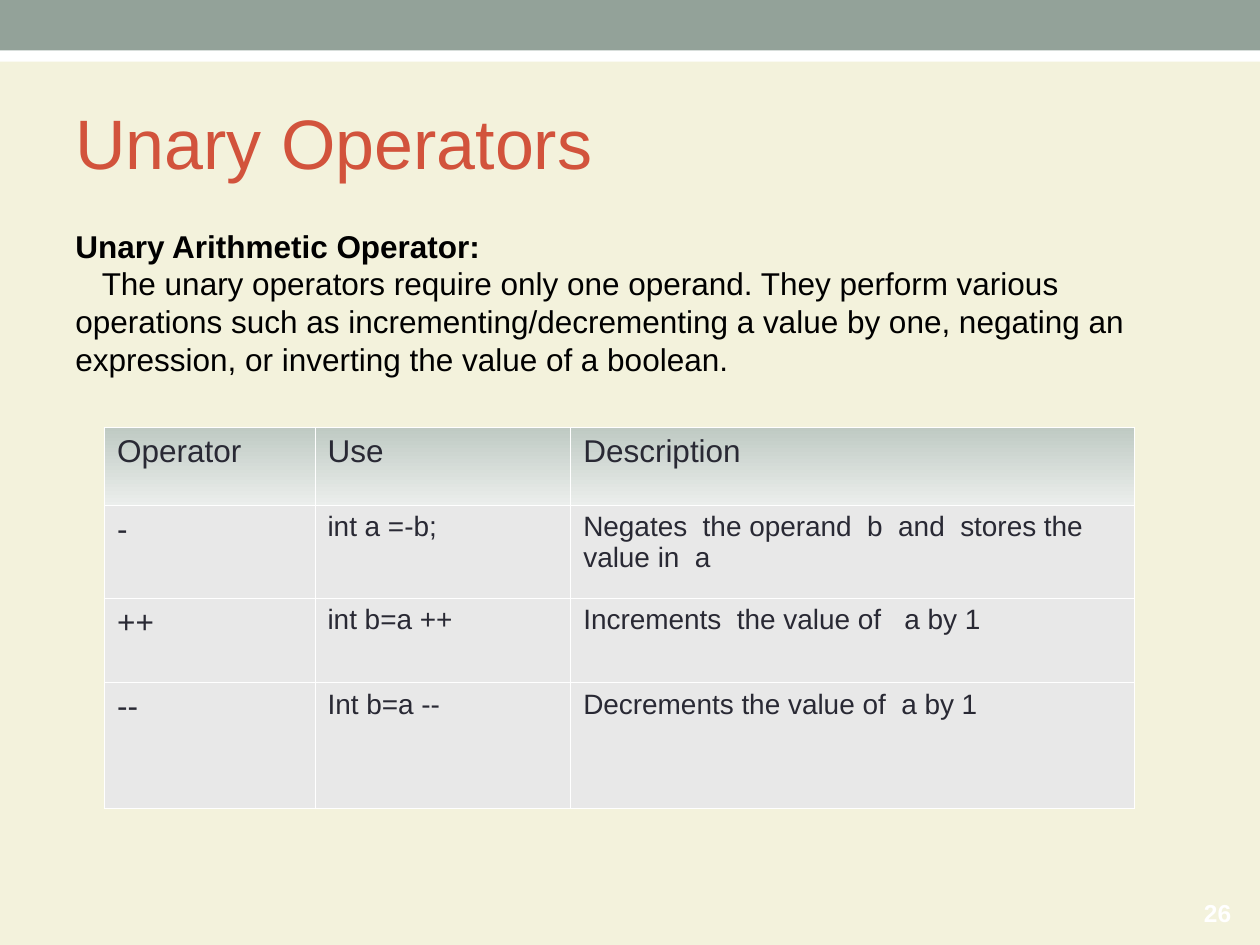
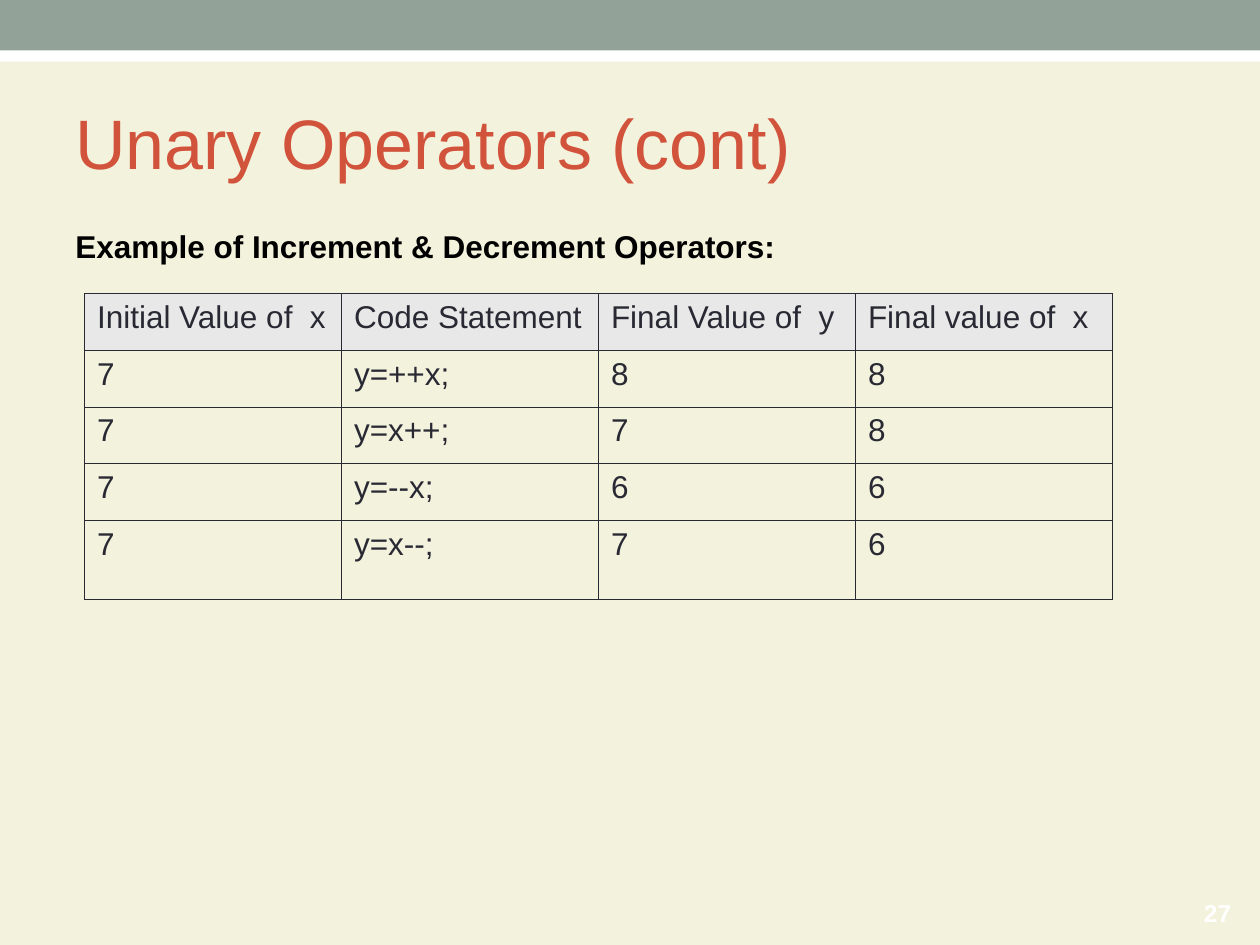
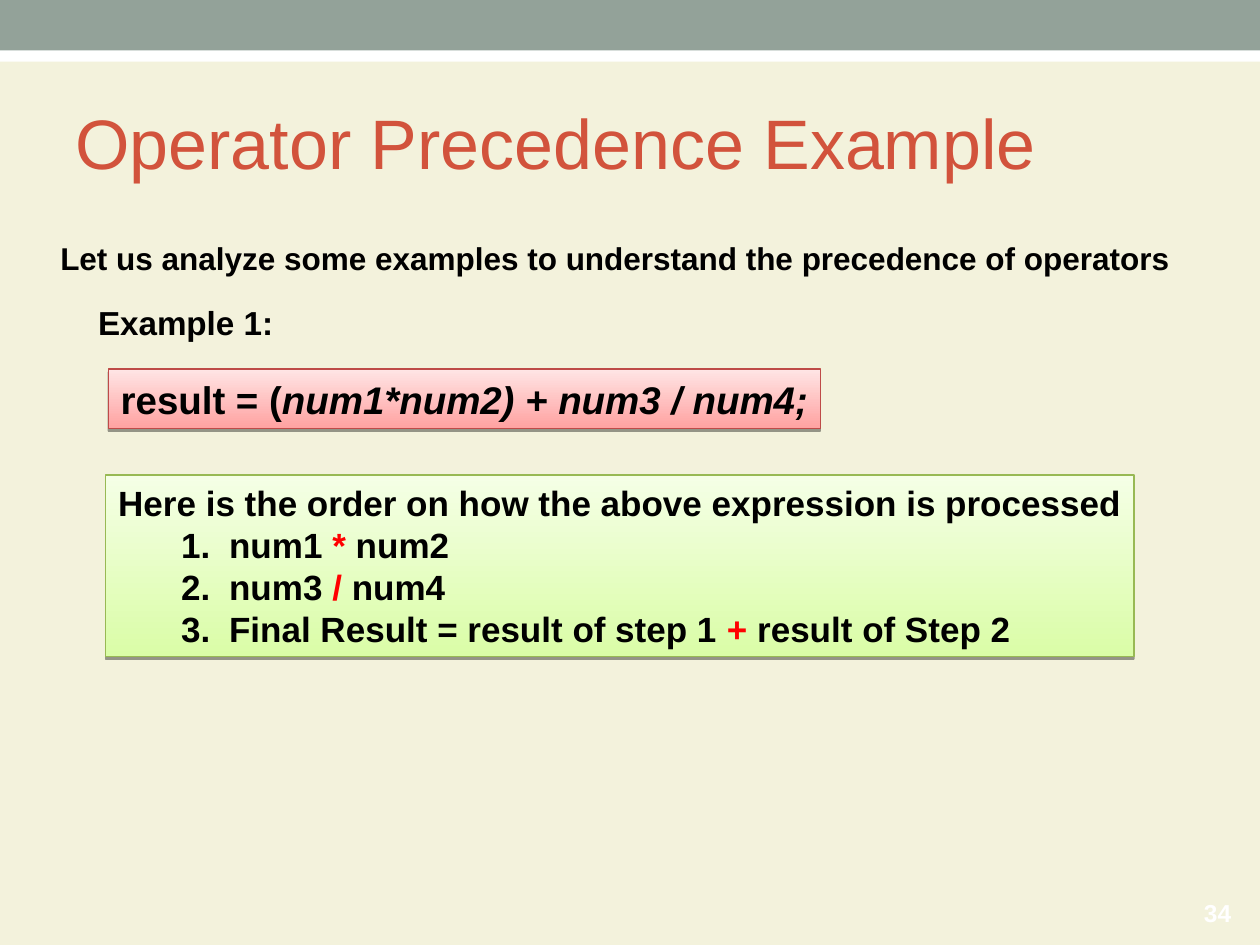
from lxml.etree import SubElement
from pptx import Presentation
from pptx.dml.color import RGBColor
from pptx.enum.shapes import MSO_SHAPE as SHAPE
from pptx.enum.text import MSO_ANCHOR as ANCHOR, PP_ALIGN as ALIGN
from pptx.oxml.ns import qn
from pptx.util import Inches, Pt

FONT = "Arial"
PAPER, BAND, WHITE, ACCENT = "F3F2DC", "93A299", "FFFFFF", "D2533C"
BLACK, RED, INK, GREY = "000000", "FF0000", "292934", "E8E8E8"
HEADER_SHADE = ("BFCAC3", "EBEEEC")


def rgb(value):
    """Turn a hex string into a colour."""
    return RGBColor.from_string(value)


def paint(fill, colour):
    """Fill with nothing, one colour, or a (top, bottom) gradient."""
    if colour is None:
        fill.background()
    elif isinstance(colour, str):
        fill.solid()
        fill.fore_color.rgb = rgb(colour)
    else:
        fill.gradient()
        fill.gradient_angle = 270
        for stop, shade in zip(fill.gradient_stops, colour):
            stop.color.rgb = rgb(shade)


def add_span(para, text, size, color=BLACK, **styles):
    """Append one run of formatted text to a paragraph."""
    span = para.add_run()
    span.text = text
    span.font.color.rgb = rgb(color)
    for name, value in {"name": FONT, "size": Pt(size), **styles}.items():
        setattr(span.font, name, value)


def write(frame, paragraphs, size, wrap=True, align=ALIGN.LEFT, **styles):
    """Write paragraphs, each a list of (text, style changes) spans."""
    frame.word_wrap = wrap
    for index, spans in enumerate(paragraphs):
        para = frame.paragraphs[0] if index == 0 else frame.add_paragraph()
        para.alignment = align
        for text, changes in spans:
            add_span(para, text, size, **{**styles, **changes})


def add_text(page, area, paragraphs, size, anchor=ANCHOR.TOP, **styles):
    """Add a text box and return it."""
    box = page.shapes.add_textbox(*map(Inches, area))
    box.text_frame.vertical_anchor = anchor
    write(box.text_frame, paragraphs, size, **styles)
    return box


def add_rectangle(page, area, colour):
    """Add a plain rectangle without outline or shadow."""
    box = page.shapes.add_shape(SHAPE.RECTANGLE, *map(Inches, area))
    box.shadow.inherit = False
    paint(box.fill, colour)
    box.line.fill.background()
    return box


def add_panel(page, area, shades, outline, paragraphs, size):
    """Add a gradient panel with an outline, a low shadow and bold text."""
    panel = add_rectangle(page, area, shades)
    panel.line.color.rgb = rgb(outline)
    panel.line.width = Pt(0.75)
    effects = panel._element.spPr.find(qn("a:effectLst"))
    shadow = SubElement(effects, qn("a:outerShdw"), blurRad="0", dist=str(Pt(1.6)),
                        dir="5400000", rotWithShape="0")
    colour = SubElement(shadow, qn("a:srgbClr"), val=BLACK)
    SubElement(colour, qn("a:alpha"), val="38000")
    write(panel.text_frame, paragraphs, size, wrap=False, bold=True)
    return panel


def number(para):
    """Make a paragraph an item of a numbered list."""
    para.level = 1
    props = para._p.get_or_add_pPr()
    props.set("marL", str(Inches(0.88)))
    props.set("indent", str(Inches(-0.38)))
    colour = SubElement(props, qn("a:buClr"))
    SubElement(colour, qn("a:srgbClr"), val=BLACK)
    SubElement(props, qn("a:buFont"), typeface=FONT)
    SubElement(props, qn("a:buAutoNum"), type="arabicPeriod")


def add_borders(cell, colour):
    """Draw a thin line on all four sides of a cell."""
    props = cell._tc.get_or_add_tcPr()
    for side in ("lnL", "lnR", "lnT", "lnB"):
        line = SubElement(props, qn(f"a:{side}"), w=str(Pt(0.45)))
        fill = SubElement(line, qn("a:solidFill"))
        SubElement(fill, qn("a:srgbClr"), val=colour)


def add_grid(page, left, top, widths, heights, rows, border, header_fill,
             body_fill, detail_size=18):
    """Add a table; detail_size applies to body cells after the first column."""
    area = (left, top, sum(widths), sum(heights))
    table = page.shapes.add_table(len(rows), len(widths), *map(Inches, area)).table
    table.first_row = table.horz_banding = False
    for column, width in zip(table.columns, widths):
        column.width = Inches(width)
    for r, (height, texts) in enumerate(zip(heights, rows)):
        table.rows[r].height = Inches(height)
        for c, text in enumerate(texts):
            cell = table.cell(r, c)
            add_borders(cell, border)
            paint(cell.fill, body_fill if r else header_fill)
            size = detail_size if r and c else 18
            write(cell.text_frame, [[(text, {})]], size, color=INK)


def add_page(deck, title, page_number):
    """Add a slide with the shared background, bands, title and number."""
    page = deck.slides.add_slide(deck.slide_layouts[6])
    paint(page.background.fill, PAPER)
    add_rectangle(page, (0, 0.24, 10, 0.25), WHITE)
    add_rectangle(page, (0, 0, 10, 0.4), BAND)
    add_text(page, (0.5, 0.58, 9, 1.08), [[(title, {})]], 40, ANCHOR.MIDDLE, color=ACCENT)
    add_text(page, (8.87, 7.07, 1, 0.35), [[(str(page_number), {})]], 14, ANCHOR.MIDDLE,
             align=ALIGN.RIGHT, color=WHITE, bold=True)
    return page


def build_unary(deck):
    """Build the slide that defines the unary operators."""
    page = add_page(deck, "Unary Operators", 26)
    intro = add_text(page, (0.5, 1.75, 9, 2.8), [
        [("Unary Arithmetic Operator:", {"bold": True})],
        [("The unary operators require only one operand. They perform various "
          "operations such as incrementing/decrementing a value by one, negating an "
          "expression, or inverting the value of a boolean.", {})],
    ], 18)
    props = intro.text_frame.paragraphs[1]._p.get_or_add_pPr()
    props.set("indent", str(Inches(0.21)))
    add_grid(page, 0.83, 3.39, (1.67, 2.03, 4.47), (0.62, 0.74, 0.67, 1), [
        ("Operator", "Use", "Description"),
        ("-", "int a =-b;", "Negates  the operand  b  and  stores the value in  a"),
        ("++", "int b=a ++", "Increments  the value of   a by 1"),
        ("--", "Int b=a --", "Decrements the value of  a by 1"),
    ], WHITE, HEADER_SHADE, GREY, detail_size=16)


def build_increment(deck):
    """Build the slide with increment and decrement results."""
    page = add_page(deck, "Unary Operators (cont)", 27)
    heading = "Example of Increment & Decrement Operators:"
    add_text(page, (0.5, 1.75, 8.17, 0.4), [[(heading, {})]], 18, bold=True)
    add_grid(page, 0.67, 2.33, [2.04] * 4, [0.45] * 4 + [0.63], [
        ("Initial Value of  x", "Code Statement", "Final Value of  y", "Final value of  x"),
        ("7", "y=++x;", "8", "8"),
        ("7", "y=x++;", "7", "8"),
        ("7", "y=--x;", "6", "6"),
        ("7", "y=x--;", "7", "6"),
    ], INK, GREY, None)


def build_precedence(deck):
    """Build the slide that works through an expression."""
    page = add_page(deck, "Operator Precedence Example", 34)
    add_panel(page, (0.86, 2.93, 5.65, 0.47), ("FFE5E5", "FFA2A1"), "BE4B48",
              [[("result = (", {}), ("num1*num2) + num3 / num4;", {"italic": True})]], 22)
    lead = "Let us analyze some examples to understand the precedence of operators"
    for area, text, size in (((0.38, 1.85, 9.01, 0.4), lead, 18),
                             ((0.68, 2.35, 1.66, 0.42), "Example 1:", 19)):
        add_text(page, area, [[(text, {})]], size, wrap=False, bold=True)
    steps = [("num1 ", "*", " num2"), ("num3 ", "/", " num4"),
             ("Final Result = result of step 1 ", "+", " result of Step 2")]
    order = [[("Here is the order on how the above expression is processed", {})]]
    order += [[(before, {}), (sign, {"color": RED}), (after, {})]
              for before, sign, after in steps]
    panel = add_panel(page, (0.84, 3.77, 8.16, 1.44), ("F5FFE6", "DAFDA7"), "98B954",
                      order, 20)
    for para in panel.text_frame.paragraphs[1:]:
        number(para)


def main():
    """Build and save the deck."""
    deck = Presentation()
    deck.slide_width, deck.slide_height = Inches(10), Inches(7.5)
    for build in (build_unary, build_increment, build_precedence):
        build(deck)
    deck.save("out.pptx")


if __name__ == "__main__":
    main()
